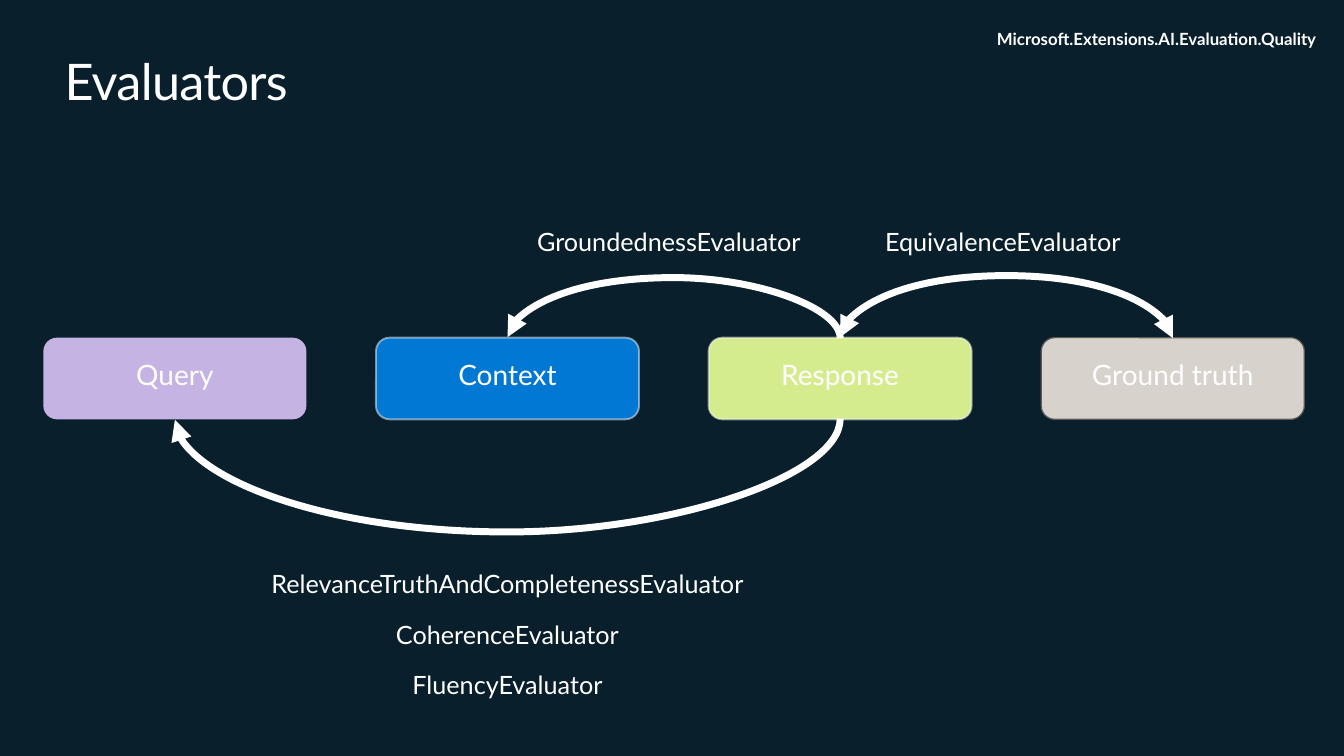
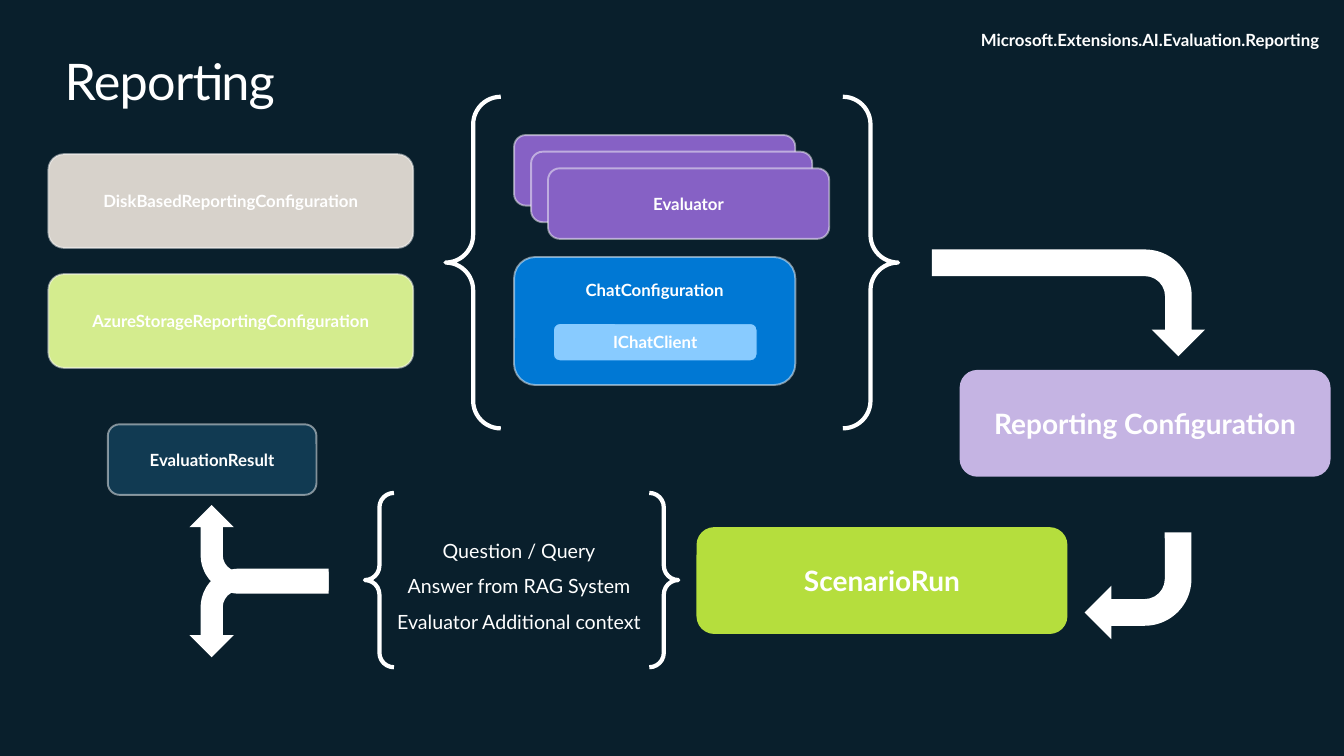
from dataclasses import dataclass

from lxml import etree
from pptx import Presentation
from pptx import util as u
from pptx.dml.color import RGBColor
from pptx.enum import shapes, text
from pptx.oxml.ns import qn

COLS, ROWS = 160, 90
CELL = u.Inches(7.5) // ROWS
FONT = "Lato"
COLORS = {
    "night": "091F2C", "white": "FFFFFF", "lilac": "C5B4E3", "blue": "0078D4",
    "lime": "D4EC8E", "sand": "D7D2CB", "stone": "5E5C59", "mist": "F9F9F9",
    "purple": "8661C5", "sky": "88CBFF", "green": "B5DE3D", "navy": "113A52",
}
LEFT, CENTER, RIGHT = text.PP_ALIGN.LEFT, text.PP_ALIGN.CENTER, text.PP_ALIGN.RIGHT
TOP, MIDDLE = text.MSO_ANCHOR.TOP, text.MSO_ANCHOR.MIDDLE
PRESET = shapes.MSO_SHAPE
NO_INSET, TEXT_INSET, CARD_INSET = (0, 0), (0.1, 0.05), (0.2, 0.16)


@dataclass(frozen=True)
class Area:
    """Left, top, width and height in grid cells."""
    x: float
    y: float
    w: float
    h: float

    def emu(self) -> list[int]:
        return [grid(n) for n in (self.x, self.y, self.w, self.h)]


@dataclass(frozen=True)
class Stroke:
    color: str
    width: float
    alpha: int = 100


PALE = Stroke("mist", 1.35, 50)
BRACE = Stroke("white", 3)


@dataclass(frozen=True)
class Card:
    label: str
    area: Area
    fill: str
    stroke: Stroke | None = None
    size: float = 12
    bold: bool = True
    anchor: text.MSO_ANCHOR = MIDDLE


@dataclass(frozen=True)
class Arrow:
    area: Area
    rotation: int
    flipped: bool = False


@dataclass(frozen=True)
class Curve:
    """An arc between two columns; a positive rise bends it upwards."""
    start: float
    end: float
    y: float
    rise: float
    both_heads: bool = False


@dataclass(frozen=True)
class Label:
    lines: tuple[str, ...]
    area: Area
    size: float = 18
    bold: bool = False
    align: text.PP_ALIGN = CENTER
    inset: tuple[float, float] = TEXT_INSET
    spacing: float = 1.0


def grid(cells: float) -> int:
    return round(cells * CELL)


def rgb(name: str) -> RGBColor:
    return RGBColor.from_string(COLORS[name])


def write(sp, *lines: str, size: float = 12, bold: bool = False, align=CENTER,
          anchor=TOP, inset=TEXT_INSET, spacing: float = 1.0, tracking: int = 0) -> None:
    tf = sp.text_frame
    tf.word_wrap = True
    tf.auto_size = text.MSO_AUTO_SIZE.NONE
    tf.vertical_anchor = anchor
    tf.margin_left = tf.margin_right = u.Inches(inset[0])
    tf.margin_top = tf.margin_bottom = u.Inches(inset[1])
    for i, line in enumerate(lines):
        p = tf.paragraphs[0] if i == 0 else tf.add_paragraph()
        p.alignment = align
        p.line_spacing = spacing
        r = p.add_run()
        r.text = line
        r.font.name, r.font.size, r.font.bold = FONT, u.Pt(size), bold
        r.font.color.rgb = rgb("white")
        if tracking:
            r.font._element.set("spc", str(tracking))


def add_preset(slide, preset, area: Area, fill: str | None = None,
               stroke: Stroke | None = None):
    sp = slide.shapes.add_shape(preset, *area.emu())
    sp.shadow.inherit = False
    if fill:
        sp.fill.solid()
        sp.fill.fore_color.rgb = rgb(fill)
    else:
        sp.fill.background()
    if stroke:
        sp.line.color.rgb = rgb(stroke.color)
        sp.line.width = u.Pt(stroke.width)
        if stroke.alpha < 100:
            color = sp.element.spPr.find(f"{qn('a:ln')}//{qn('a:srgbClr')}")
            etree.SubElement(color, qn("a:alpha")).set("val", str(stroke.alpha * 1000))
    else:
        sp.line.fill.background()
    return sp


def add_card(slide, card: Card) -> None:
    sp = add_preset(slide, PRESET.ROUNDED_RECTANGLE, card.area, card.fill, card.stroke)
    if card.label:
        write(sp, card.label, size=card.size, bold=card.bold, anchor=card.anchor,
              inset=CARD_INSET)


def add_arrow(slide, arrow: Arrow) -> None:
    sp = add_preset(slide, PRESET.BENT_ARROW, arrow.area, "white")
    sp.rotation = arrow.rotation
    if arrow.flipped:
        sp.element.spPr.xfrm.set("flipV", "1")


def add_curve(slide, curve: Curve) -> None:
    """Turn a thin upright curved connector on its side to form an arc."""
    depth = 0.12
    up = curve.rise > 0
    middle = (curve.start + curve.end) / 2
    half = (curve.start - curve.end) / 2 * (1 if up else -1)
    ends = (middle - depth / 2, curve.y + half, middle + depth / 2, curve.y - half)
    c = slide.shapes.add_connector(shapes.MSO_CONNECTOR.CURVE, *map(grid, ends))
    c.line.color.rgb = rgb("white")
    c.line.width = u.Pt(5)
    sp_pr = c.element.spPr
    sp_pr.xfrm.set("rot", str((270 if up else 90) * 60000))
    guides = sp_pr.find(qn("a:prstGeom")).get_or_add_avLst()
    guide = etree.SubElement(guides, qn("a:gd"))
    guide.set("name", "adj1")
    guide.set("fmla", f"val {round(abs(curve.rise) / depth * 100000)}")
    ln = sp_pr.find(qn("a:ln"))
    for tag in ("a:headEnd", "a:tailEnd")[0 if curve.both_heads else 1:]:
        etree.SubElement(ln, qn(tag)).set("type", "triangle")
    etree.SubElement(sp_pr, qn("a:effectLst"))


def add_label(slide, label: Label) -> None:
    sp = slide.shapes.add_textbox(*label.area.emu())
    write(sp, *label.lines, size=label.size, bold=label.bold, align=label.align,
          inset=label.inset, spacing=label.spacing)


def add_titled_slide(prs, title: str, title_width: float, package: Label):
    slide = prs.slides.add_slide(prs.slide_layouts[5])
    sp = slide.shapes.title
    sp.left, sp.top, sp.width, sp.height = Area(7.68, 6, title_width, 7.32).emu()
    write(sp, title, size=36, align=LEFT, inset=NO_INSET, tracking=-50)
    add_label(slide, package)
    return slide


def package_label(name: str, x: float, y: float) -> Label:
    return Label((name,), Area(x, y, 70.92, 3.6), 12, True, RIGHT)


def build_evaluators(prs) -> None:
    slide = add_titled_slide(prs, "Evaluators", 79.2, package_label(
        "Microsoft.Extensions.AI.Evaluation.Quality", 87, 2.88))
    left, top, width, height, pitch = 5.16, 40.2, 31.32, 9.72, 39.6
    kinds = (
        ("Query", "lilac", None),
        ("Context", "blue", PALE),
        ("Response", "lime", PALE),
        ("Ground truth", "sand", Stroke("stone", 0.85)),
    )
    for i, (name, fill, stroke) in enumerate(kinds):
        area = Area(left + i * pitch, top, width, height)
        add_card(slide, Card(name, area, fill, stroke, 20, False, TOP))

    query, context, response, truth = (left + width / 2 + i * pitch for i in range(4))
    for curve in (
        Curve(response, context, top, 7.32),
        Curve(truth, response, top, 7.56, both_heads=True),
        Curve(response, query, top + height, -13.68),
    ):
        add_curve(slide, curve)

    add_label(slide, Label(("EquivalenceEvaluator",), Area(105.36, 27, 29.04, 3.6),
                           align=LEFT, inset=NO_INSET))
    add_label(slide, Label(("GroundednessEvaluator",), Area(62.76, 26.4, 34.92, 4.8),
                           align=LEFT))
    answer_checks = ("RelevanceTruthAndCompletenessEvaluator", "CoherenceEvaluator",
                     "FluencyEvaluator")
    for i, name in enumerate(answer_checks):
        add_label(slide, Label((name,), Area(30.84, 67.08 + 6 * i, 59.16, 4.8)))


def build_reporting(prs) -> None:
    slide = add_titled_slide(prs, "Reporting", 144.6, package_label(
        "Microsoft.Extensions.AI.Evaluation.Reporting", 87.36, 3))
    for area in (Area(53.04, 11.52, 53.88, 39.48), Area(43.44, 58.68, 37.32, 20.76)):
        add_preset(slide, PRESET.DOUBLE_BRACE, area, stroke=BRACE)

    stack = [Card(name, Area(61.2 + 2.02 * i, 16.08 + 1.98 * i, 33.48, 8.4), "purple", PALE)
             for i, name in enumerate(("", "", "Evaluator"))]
    for card in (
        Card("Reporting Configuration", Area(114.24, 44.04, 44.16, 12.72), "lilac", size=20),
        Card("DiskBasedReportingConfiguration", Area(5.76, 18.36, 43.44, 11.16), "sand", PALE),
        Card("AzureStorageReportingConfiguration", Area(5.76, 32.64, 43.44, 11.16),
             "lime", PALE),
        *stack,
        Card("ChatConfiguration", Area(61.2, 30.6, 33.48, 15.24), "blue", PALE, anchor=TOP),
        Card("IChatClient", Area(65.88, 38.52, 24.24, 4.44), "sky", Stroke("blue", 0.75)),
        Card("ScenarioRun", Area(82.92, 62.76, 44.16, 12.72), "green", size=20),
        Card("EvaluationResult", Area(12.84, 50.52, 24.84, 8.4), "navy", PALE),
    ):
        add_card(slide, card)

    for arrow in (
        Arrow(Area(120.84, 19.8, 12.72, 32.52), 90),
        Arrow(Area(129.12, 63.36, 12.72, 12.72), 180),
        Arrow(Area(25.56, 57.12, 10.56, 16.56), 270),
        Arrow(Area(25.56, 64.68, 10.56, 16.56), 90, flipped=True),
    ):
        add_arrow(slide, arrow)

    inputs = ("Question / Query", "Answer from RAG System", "Evaluator Additional context")
    add_label(slide, Label(inputs, Area(45, 62.76, 33.6, 12.24), 14, inset=NO_INSET,
                           spacing=1.5))


def main() -> None:
    prs = Presentation()
    prs.slide_width, prs.slide_height = grid(COLS), grid(ROWS)
    background = prs.slide_master.background.fill
    background.solid()
    background.fore_color.rgb = rgb("night")
    build_evaluators(prs)
    build_reporting(prs)
    prs.save("out.pptx")


if __name__ == "__main__":
    main()
